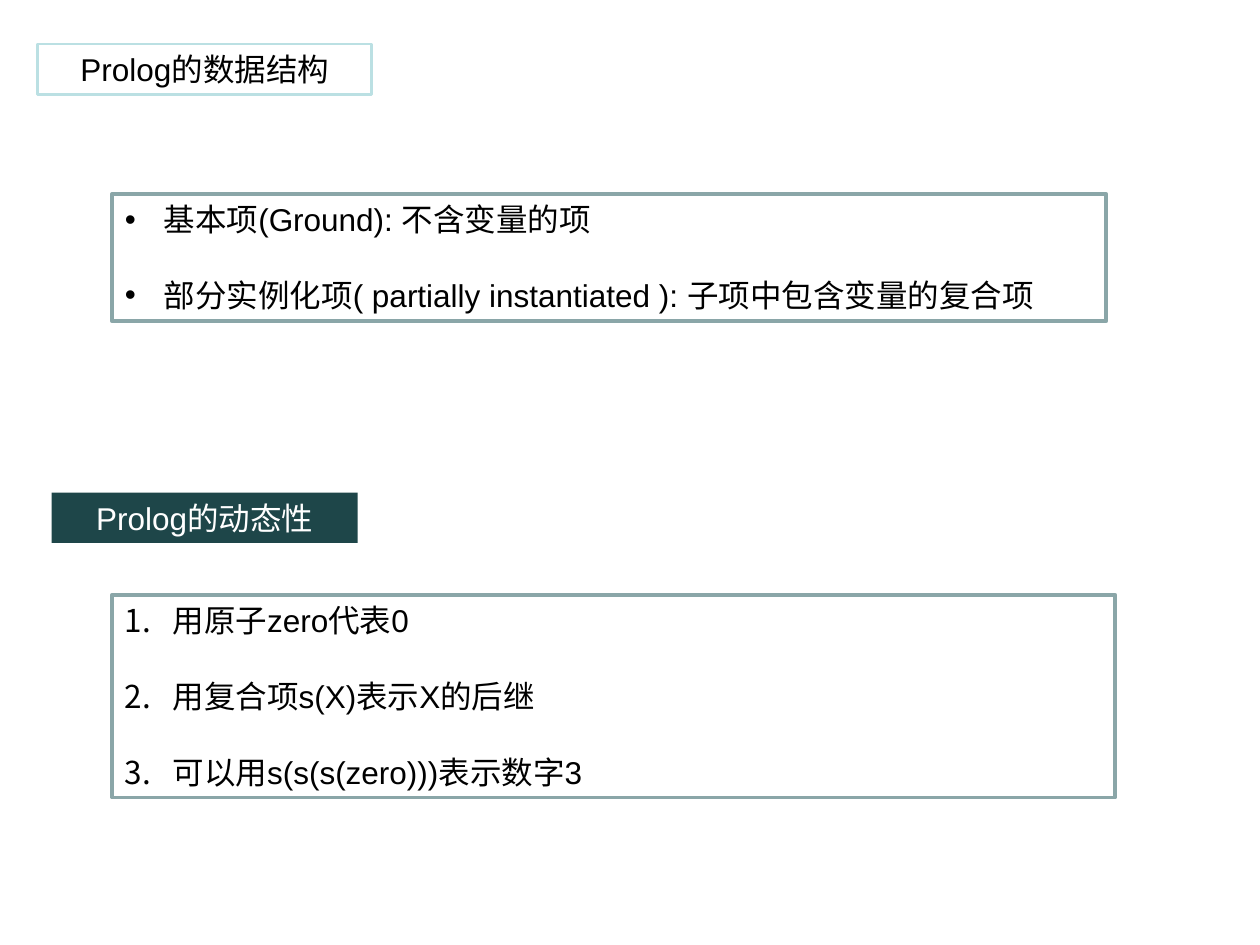
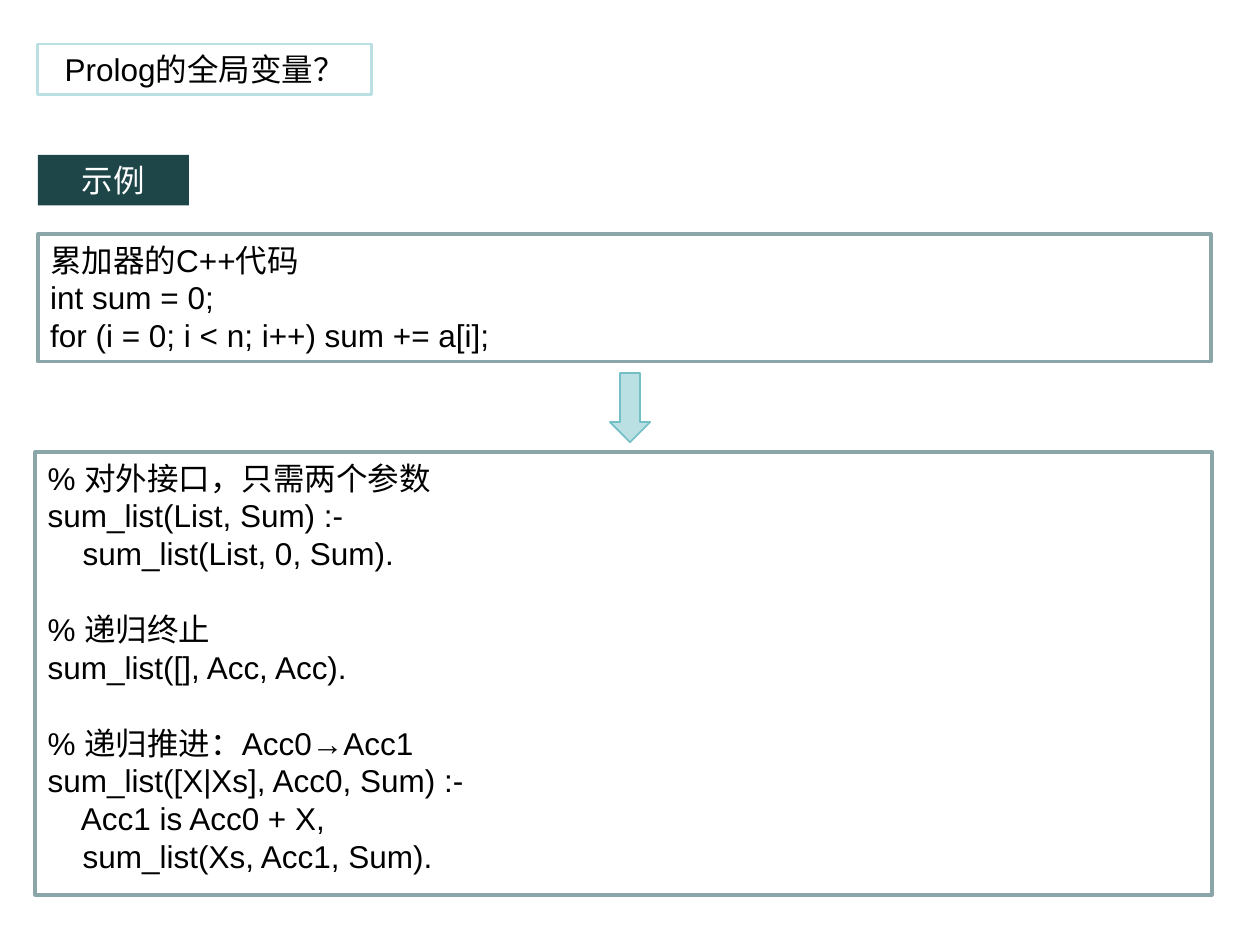
"""Build two slides on Prolog data structures and accumulators."""
from lxml.etree import SubElement
from pptx import Presentation
from pptx.dml.color import RGBColor
from pptx.enum.shapes import MSO_SHAPE as Preset
from pptx.enum.text import MSO_ANCHOR as Anchor, MSO_AUTO_SIZE as AutoSize, PP_ALIGN as Align
from pptx.oxml.ns import qn
from pptx.util import Inches, Pt

COLORS = {"text": "000000", "white": "FFFFFF", "pale": "BBE0E3",
          "frame": "8AA6A8", "dark": "1E4649", "arrow": "72BFC5"}
FONT, SIZE, BLANK_LINE = "Arial", 18, 21.7
TITLE_AREA = (0.3, 0.35, 2.65, 0.4)
TWO_CONTENT, TITLE_ONLY = 3, 5

STRUCTURE_TITLE = "Prolog的数据结构"
TERM_KINDS = ["基本项(Ground): 不含变量的项",
              "部分实例化项( partially instantiated ): 子项中包含变量的复合项"]
DYNAMIC_TAG = "Prolog的动态性"
NUMBER_RULES = ["用原子zero代表0", "用复合项s(X)表示X的后继", "可以用s(s(s(zero)))表示数字3"]

GLOBAL_TITLE = "Prolog的全局变量？"
EXAMPLE_TAG = "示例"
CPP_CODE = [["累加器的C++代码", "int sum = 0;", "for (i = 0; i < n; i++) sum += a[i];"]]
PROLOG_CODE = [
    ["% 对外接口，只需两个参数", "sum_list(List, Sum) :-", "    sum_list(List, 0, Sum)."],
    ["% 递归终止", "sum_list([], Acc, Acc)."],
    ["% 递归推进：Acc0→Acc1", "sum_list([X|Xs], Acc0, Sum) :-",
     "    Acc1 is Acc0 + X,", "    sum_list(Xs, Acc1, Sum)."],
]


def rgb(name):
    return RGBColor.from_string(COLORS[name])


def place(shape, area):
    shape.left, shape.top, shape.width, shape.height = map(Inches, area)


def paint(shape, fill=None, line=None, weight=1):
    if fill:
        shape.fill.solid()
        shape.fill.fore_color.rgb = rgb(fill)
    if line:
        shape.line.color.rgb = rgb(line)
        shape.line.width = Pt(weight)


def mark(para, numbered, indent):
    properties = para._p.get_or_add_pPr()
    properties.set("marL", str(Inches(indent)))
    properties.set("indent", str(-Inches(indent)))
    if numbered:
        SubElement(properties, qn("a:buFontTx"))
        SubElement(properties, qn("a:buAutoNum"), type="arabicPeriod")
    else:
        SubElement(properties, qn("a:buFont"), typeface=FONT)
        SubElement(properties, qn("a:buChar"), char="•")


def write(box, groups, color="text", align=Align.LEFT, numbered=None, indent=0):
    frame = box.text_frame
    frame.word_wrap = True
    frame.auto_size = AutoSize.NONE
    frame.vertical_anchor = Anchor.TOP
    para = None
    for group in groups:
        for position, text in enumerate(group):
            gap = BLANK_LINE if para is not None and position == 0 else 0
            para = frame.paragraphs[0] if para is None else frame.add_paragraph()
            if numbered is not None:
                mark(para, numbered, indent)
            para.alignment = align
            para.space_before = Pt(gap)
            span = para.add_run()
            span.text = text
            span.font.name, span.font.size = FONT, Pt(SIZE)
            span.font.color.rgb = rgb(color)


def add_page(deck, layout, title):
    page = deck.slides.add_slide(deck.slide_layouts[layout])
    box = page.shapes.title
    place(box, TITLE_AREA)
    paint(box, line="pale", weight=1.5)
    write(box, [[title]], align=Align.CENTER)
    return page


def add_tag(page, text, area):
    box = page.shapes.add_textbox(*map(Inches, area))
    paint(box, fill="dark")
    write(box, [[text]], color="white", align=Align.CENTER)


def fill_list(box, items, area, numbered, indent):
    place(box, area)
    paint(box, line="frame", weight=2.25)
    write(box, [[item] for item in items], numbered=numbered, indent=indent)


def add_code(page, groups, area):
    box = page.shapes.add_textbox(*map(Inches, area))
    paint(box, line="frame", weight=2.25)
    write(box, groups)


def add_down_arrow(page, area):
    arrow = page.shapes.add_shape(Preset.DOWN_ARROW, *map(Inches, area))
    arrow.shadow.inherit = False
    paint(arrow, fill="pale", line="arrow")


def main():
    deck = Presentation()
    deck.slide_width, deck.slide_height = Inches(10), Inches(7.5)

    page = add_page(deck, TWO_CONTENT, STRUCTURE_TITLE)
    fill_list(page.placeholders[1], TERM_KINDS, (0.89, 1.54, 7.89, 1.01), False, 0.31)
    add_tag(page, DYNAMIC_TAG, (0.41, 3.91, 2.43, 0.4))
    fill_list(page.placeholders[2], NUMBER_RULES, (0.89, 4.72, 7.96, 1.61), True, 0.38)

    page = add_page(deck, TITLE_ONLY, GLOBAL_TITLE)
    add_tag(page, EXAMPLE_TAG, (0.3, 1.23, 1.2, 0.4))
    add_code(page, CPP_CODE, (0.3, 1.86, 9.31, 1.01))
    add_code(page, PROLOG_CODE, (0.28, 3.59, 9.34, 3.51))
    add_down_arrow(page, (4.84, 2.96, 0.32, 0.55))

    deck.save("out.pptx")


if __name__ == "__main__":
    main()
